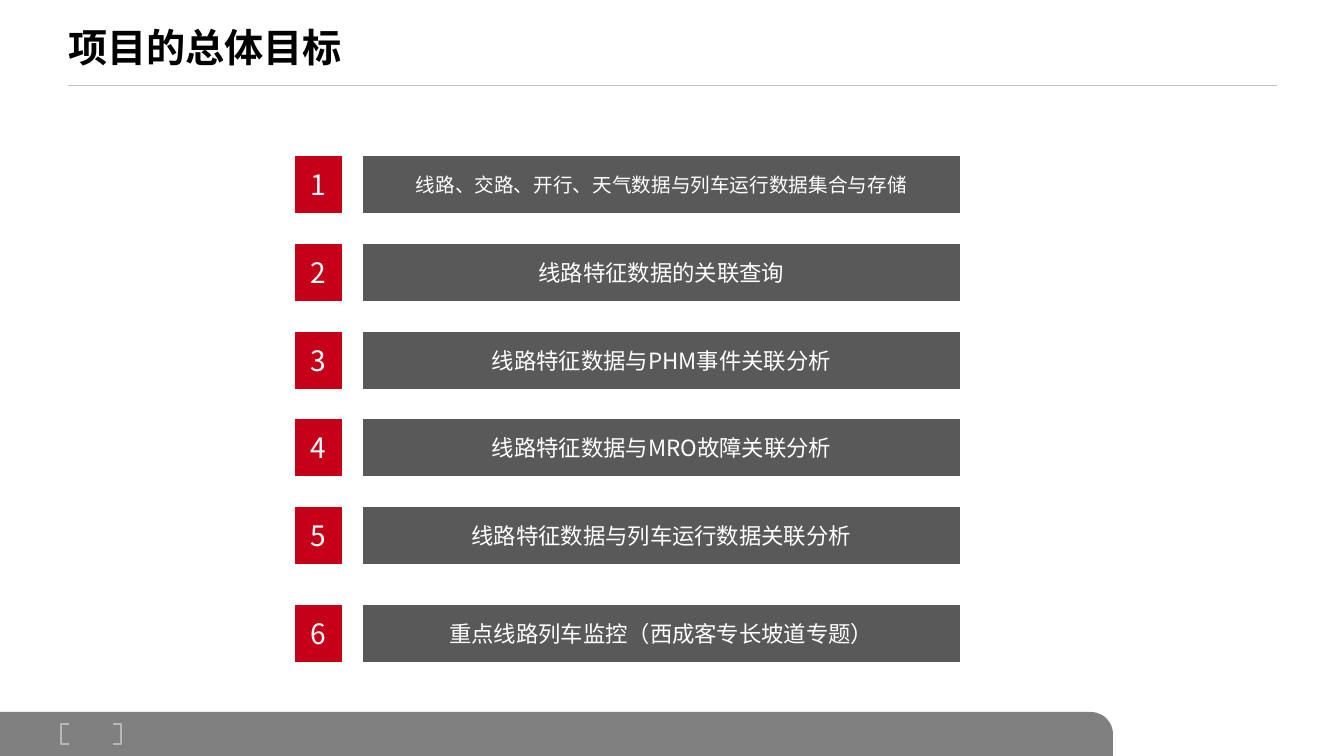
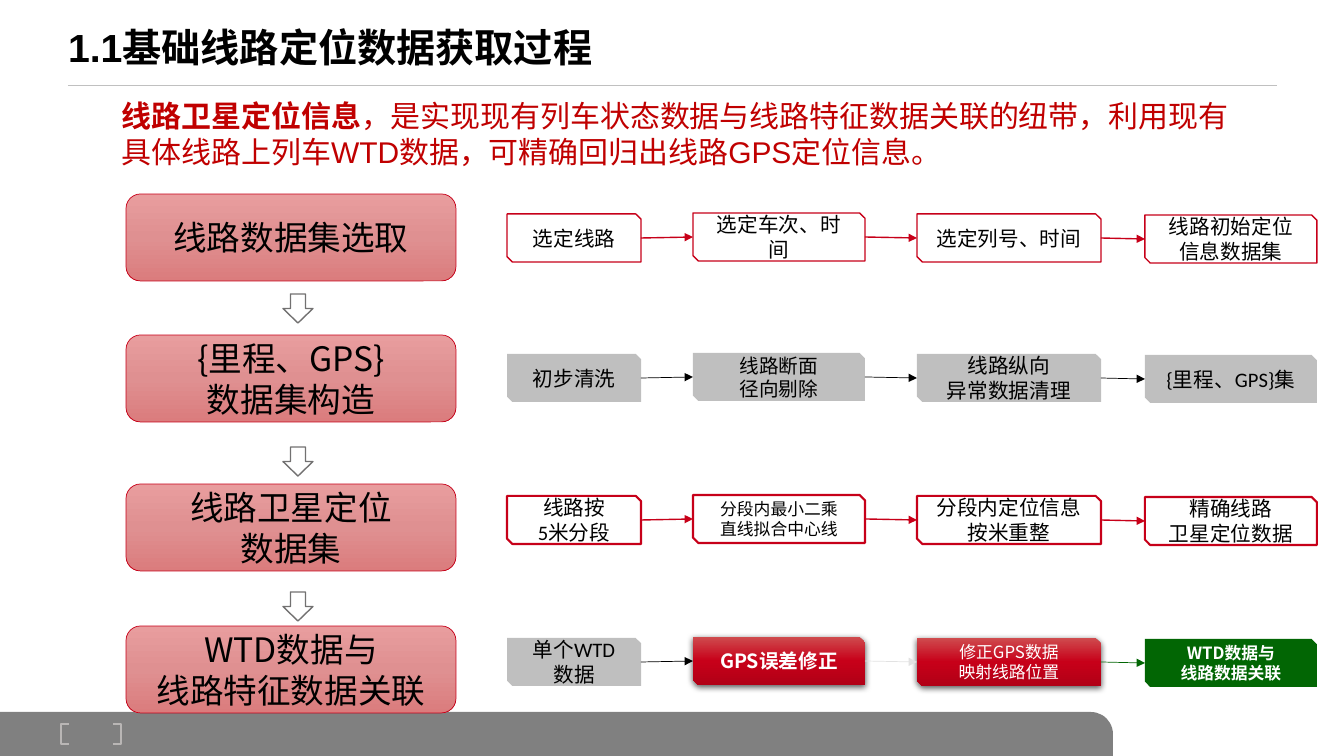
from dataclasses import dataclass
from typing import Optional

from lxml import etree
from pptx import Presentation
from pptx.dml.color import RGBColor
from pptx.enum.shapes import MSO_CONNECTOR, MSO_SHAPE
from pptx.enum.text import MSO_ANCHOR, MSO_AUTO_SIZE, PP_ALIGN
from pptx.oxml.ns import qn
from pptx.util import Emu, Pt

RECT = MSO_SHAPE.RECTANGLE
ROUNDED = MSO_SHAPE.ROUNDED_RECTANGLE
ROUND_ONE = MSO_SHAPE.ROUND_1_RECTANGLE
SNIPPED = MSO_SHAPE.SNIP_2_DIAG_RECTANGLE
DOWN_ARROW = MSO_SHAPE.DOWN_ARROW
LEFT_BRACKET = MSO_SHAPE.LEFT_BRACKET
RIGHT_BRACKET = MSO_SHAPE.RIGHT_BRACKET
STRAIGHT = MSO_CONNECTOR.STRAIGHT
MIDDLE = MSO_ANCHOR.MIDDLE
LEFT = PP_ALIGN.LEFT
CENTER = PP_ALIGN.CENTER
NO_FIT = MSO_AUTO_SIZE.NONE
GROW = MSO_AUTO_SIZE.SHAPE_TO_FIT_TEXT

WHITE = RGBColor(0xFF, 0xFF, 0xFF)
BLACK = RGBColor(0x00, 0x00, 0x00)
RED = RGBColor(0xC7, 0x00, 0x19)
RED_LIGHT = RGBColor(0xCF, 0x4B, 0x4E)
RED_DARK = RGBColor(0xB1, 0x00, 0x16)
RED_TEXT = RGBColor(0xC0, 0x00, 0x00)
PINK_LIGHT = RGBColor(0xE8, 0x9D, 0x9E)
PINK = RGBColor(0xDF, 0x90, 0x91)
PINK_DARK = RGBColor(0xDB, 0x7C, 0x7D)
GREEN = RGBColor(0x02, 0x66, 0x04)
CHARCOAL = RGBColor(0x59, 0x59, 0x59)
GREY = RGBColor(0x80, 0x80, 0x80)
ARROW_GREY = RGBColor(0x72, 0x71, 0x71)
BRACKET_GREY = RGBColor(0xB9, 0xB6, 0xB5)
RULE_GREY = RGBColor(0xC0, 0xC0, 0xC0)
PALE_GREY = RGBColor(0xE2, 0xE2, 0xE2)

CJK = "Noto Sans CJK SC"
ARIAL = "Arial"
CALIBRI = "Calibri"

PX_PER_INCH = 100.8
LINE_FACTOR = 1.2


def px(length):
    return Emu(round(length * 914400 / PX_PER_INCH))


@dataclass(frozen=True)
class Look:
    fill: tuple = ()
    line: Optional[RGBColor] = None
    width: float = 1
    alpha: int = 100
    shadow: bool = False


@dataclass(frozen=True)
class Type:
    size: float
    color: RGBColor = BLACK
    font: str = CJK
    bold: bool = False


class Deck:
    def __init__(self):
        self.presentation = Presentation()
        self.presentation.slide_width = px(1344)
        self.presentation.slide_height = px(756)
        self.slide = None

    def start_slide(self, title):
        self.slide = self.presentation.slides.add_slide(
            self.presentation.slide_layouts[5])
        heading = self.slide.shapes.title
        heading.left, heading.top = px(58), px(8)
        heading.width, heading.height = px(1228), px(77)
        heading.text_frame.text = title
        heading.text_frame.vertical_anchor = MIDDLE
        heading.text_frame.auto_size = NO_FIT
        self.format_text(heading.text_frame,
                         Type(28, font=ARIAL, bold=True), LEFT)
        self.line((68, 85), (1277, 85), RULE_GREY, 0.25)
        self.shape(ROUND_ONE, (0, 712, 1113, 44), Look((GREY,)), (0.5,))
        bracket_look = Look(line=BRACKET_GREY, width=1.5)
        for bracket, left in ((LEFT_BRACKET, 61), (RIGHT_BRACKET, 113)):
            self.shape(bracket, (left, 724, 8, 20), bracket_look, (0,))

    def format_text(self, frame, style, align, tight=False):
        for paragraph in frame.paragraphs:
            paragraph.alignment = align
            if tight:
                paragraph.line_spacing = Pt(round(style.size * LINE_FACTOR, 1))
            font = paragraph.font
            font.size = Pt(style.size)
            font.bold = style.bold
            font.color.rgb = style.color
            font.name = style.font
            properties = paragraph._p.pPr.find(qn("a:defRPr"))
            etree.SubElement(properties, qn("a:ea"), typeface=CJK)

    def shape(self, kind, bounds, look, adjustments=()):
        shape = self.slide.shapes.add_shape(kind, *map(px, bounds))
        for index, value in enumerate(adjustments):
            shape.adjustments[index] = value
        shape.shadow.inherit = False
        self.paint(shape, look)
        return shape

    def paint(self, shape, look):
        properties = shape.element.spPr
        if len(look.fill) > 1:
            shape.fill.gradient()
            shape.fill.gradient_angle = 270
            stops = properties.find(".//" + qn("a:gsLst"))
            for stop in list(stops):
                stops.remove(stop)
            for index, color in enumerate(look.fill):
                position = 100000 * index // (len(look.fill) - 1)
                stop = etree.SubElement(stops, qn("a:gs"), pos=str(position))
                etree.SubElement(stop, qn("a:srgbClr"), val=str(color))
        elif look.fill:
            shape.fill.solid()
            shape.fill.fore_color.rgb = look.fill[0]
            if look.alpha < 100:
                color = properties.find(".//" + qn("a:srgbClr"))
                etree.SubElement(color, qn("a:alpha"),
                                 val=str(look.alpha * 1000))
        else:
            shape.fill.background()
        if look.line is None:
            shape.line.fill.background()
        else:
            shape.line.color.rgb = look.line
            shape.line.width = Pt(look.width)
        if look.shadow:
            shadow = etree.SubElement(
                properties.find(qn("a:effectLst")), qn("a:outerShdw"),
                blurRad=str(Pt(4.5)), dist=str(Pt(1.5)), dir="5400000",
                algn="ctr", rotWithShape="0")
            color = etree.SubElement(shadow, qn("a:srgbClr"), val=str(BLACK))
            etree.SubElement(color, qn("a:alpha"), val="63000")

    def box(self, kind, bounds, text, look, style, insets=(10, 5),
            adjustments=()):
        box = self.shape(kind, bounds, look, adjustments)
        frame = box.text_frame
        frame.word_wrap = True
        frame.vertical_anchor = MIDDLE
        frame.margin_left = frame.margin_right = px(insets[0])
        frame.margin_top = frame.margin_bottom = px(insets[1])
        frame.text = text
        self.format_text(frame, style, CENTER, tight=True)

    def lead(self, bounds, term, statement, style):
        frame = self.slide.shapes.add_textbox(*map(px, bounds)).text_frame
        frame.word_wrap = True
        frame.auto_size = GROW
        paragraph = frame.paragraphs[0]
        term_run = paragraph.add_run()
        term_run.text = term
        paragraph.add_run().text = statement
        self.format_text(frame, style, LEFT, tight=True)
        term_run.font.bold = True

    def line(self, start, end, color, width, arrow=False):
        line = self.slide.shapes.add_connector(
            STRAIGHT, *map(px, (*start, *end)))
        line.line.color.rgb = color
        line.line.width = Pt(width)
        properties = line.element.spPr
        if arrow:
            etree.SubElement(properties.find(qn("a:ln")), qn("a:tailEnd"),
                             type="triangle")
        etree.SubElement(properties, qn("a:effectLst"))


def build_goals(deck):
    deck.start_slide("项目的总体目标")
    goals = (
        (155, "线路、交路、开行、天气数据与列车运行数据集合与存储", 14),
        (243, "线路特征数据的关联查询", 16),
        (331, "线路特征数据与PHM事件关联分析", 16),
        (418, "线路特征数据与MRO故障关联分析", 16),
        (506, "线路特征数据与列车运行数据关联分析", 16),
        (604, "重点线路列车监控（西成客专长坡道专题）", 16),
    )
    goal_look = Look((CHARCOAL,), WHITE, 1)
    number_look = Look((RED,), WHITE, 1.5)
    for number, (top, goal, size) in enumerate(goals, 1):
        deck.box(RECT, (362, top, 599, 59), goal, goal_look, Type(size, WHITE))
        deck.box(RECT, (294, top, 49, 59), str(number), number_look,
                 Type(20, WHITE))


def build_process(deck):
    deck.start_slide("1.1基础线路定位数据获取过程")

    insets = (13, 7)
    stage_look = Look((PINK_LIGHT, PINK, PINK_DARK), RED, 0.5)
    stages = (
        (194, "线路数据集选取"),
        (335, "{里程、GPS}\n数据集构造"),
        (484, "线路卫星定位\n数据集"),
        (626, "WTD数据与\n线路特征数据关联"),
    )
    for top, stage in stages:
        deck.box(ROUNDED, (126, top, 330, 87), stage, stage_look, Type(24),
                 insets)
    for top in (294, 447, 592):
        deck.shape(DOWN_ARROW, (283, top, 30, 29), Look((WHITE,), ARROW_GREY))

    deck.lead(
        (112, 93, 1145, 83), "线路卫星定位信息",
        "，是实现现有列车状态数据与线路特征数据关联的纽带，"
        "利用现有具体线路上列车WTD数据，可精确回归出线路GPS定位信息。",
        Type(21.4, RED_TEXT, ARIAL))

    outlined = Look((WHITE,), RED, 1)
    framed = Look((WHITE,), RED, 1.5)
    muted = Look((GREY,), alpha=50)
    glossy = Look((RED_LIGHT, RED, RED_DARK), shadow=True)
    final = Look((GREEN,))
    body = Type(14.7, font=CALIBRI)
    red_arrows = ((RED, 1),) * 3
    black_arrows = ((BLACK, 0.5),) * 3
    closing_arrows = ((BLACK, 0.5), (PALE_GREY, 0.5), (GREEN, 0.5))
    columns = ((507, 134, 0), (693, 172, -1), (917, 184, 0), (1145, 172, 1))
    step_height = 48
    flows = (
        (214, red_arrows, (
            ("选定线路", outlined, body),
            ("选定车次、时间", outlined, body),
            ("选定列号、时间", outlined, body),
            ("线路初始定位信息数据集", outlined, body))),
        (354, black_arrows, (
            ("初步清洗", muted, body),
            ("线路断面\n径向剔除", muted, Type(14, font=CALIBRI)),
            ("线路纵向\n异常数据清理", muted, body),
            ("{里程、GPS}集", muted, body))),
        (496, red_arrows, (
            ("线路按\n5米分段", framed, body),
            ("分段内最小二乘\n直线拟合中心线", framed, Type(12)),
            ("分段内定位信息\n按米重整", framed, body),
            ("精确线路\n卫星定位数据", framed, body))),
        (638, closing_arrows, (
            ("单个WTD数据", muted, body),
            ("GPS误差修正", glossy, Type(14, WHITE, bold=True)),
            ("修正GPS数据\n映射线路位置", glossy, Type(12, WHITE)),
            ("WTD数据与\n线路数据关联", final, Type(12, WHITE, bold=True)))),
    )
    for top, arrows, steps in flows:
        for (left, width, shift), (step, look, style) in zip(columns, steps):
            deck.box(SNIPPED, (left, top + shift, width, step_height), step,
                     look, style, insets, (0, 0.11))
        middle = top + step_height // 2
        for source, target, (color, weight) in zip(
                columns, columns[1:], arrows):
            deck.line((source[0] + source[1], middle + source[2]),
                      (target[0], middle + target[2]), color, weight, True)


def main():
    deck = Deck()
    build_goals(deck)
    build_process(deck)
    deck.presentation.save("out.pptx")


if __name__ == "__main__":
    main()
